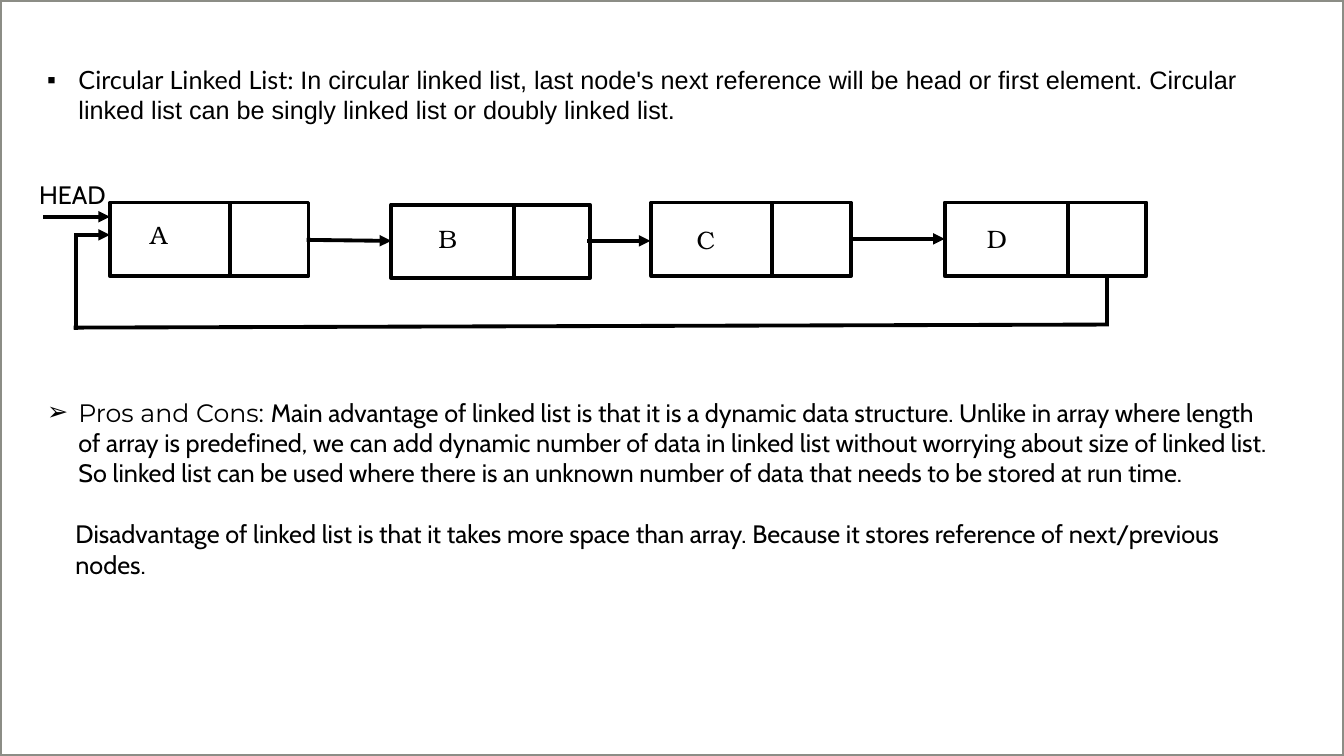
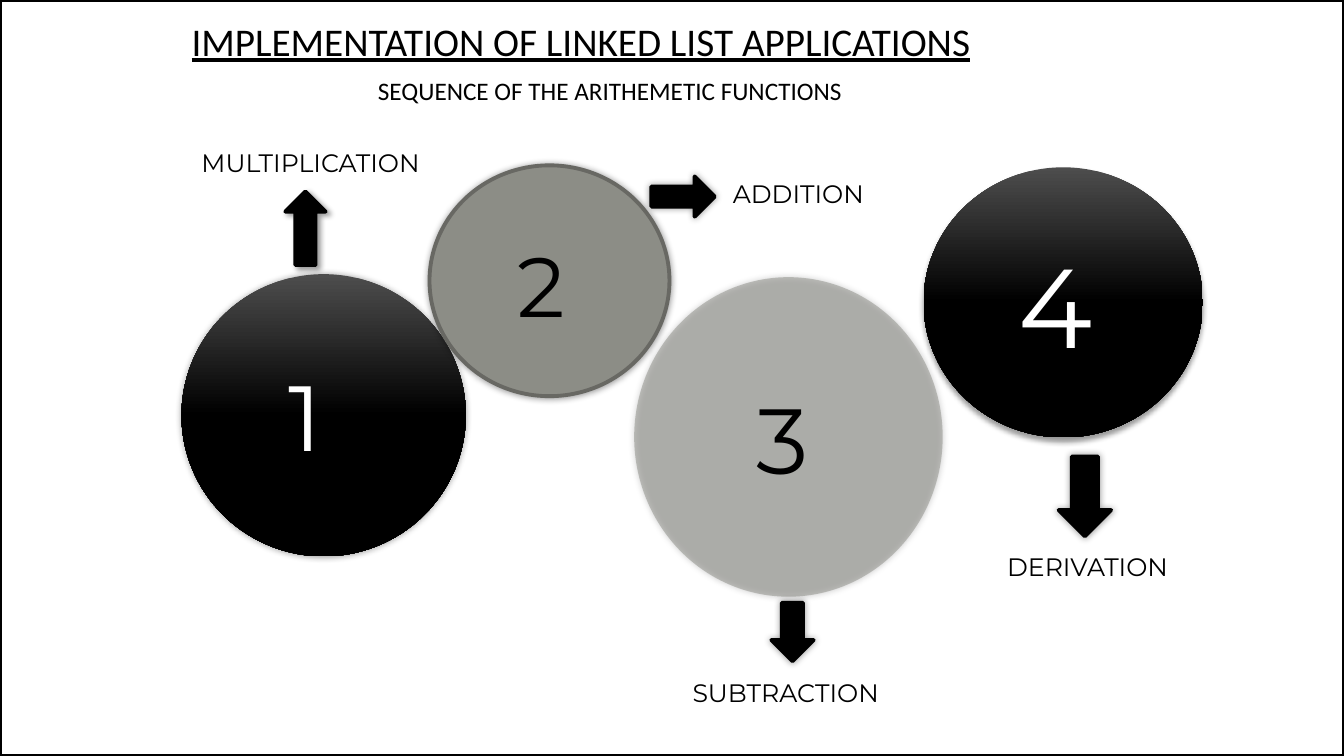
from itertools import pairwise

from lxml.etree import SubElement
from pptx import Presentation
from pptx.dml.color import RGBColor
from pptx.enum.shapes import MSO_CONNECTOR, MSO_SHAPE
from pptx.enum.text import MSO_ANCHOR, MSO_AUTO_SIZE, PP_ALIGN
from pptx.oxml.ns import qn
from pptx.util import Inches, Pt

BLACK, WHITE, GREY, EDGE = "000000", "FFFFFF", "8C8D86", "686863"
DARK = ("4D4D4D", BLACK)
WIDE, HIGH = 13.33, 7.5
STROKE = 2.75


def rgb(code):
    return RGBColor.from_string(code)


# Shared parts
def add_run(para, text, font, size=18, color=BLACK, under=False):
    run = para.add_run()
    run.text = text
    run.font.name = font
    run.font.size = Pt(size)
    run.font.color.rgb = rgb(color)
    if under:
        run.font.underline = True


def add_text(slide, box, *runs):
    frame = slide.shapes.add_textbox(*map(Inches, box)).text_frame
    frame.word_wrap = True
    for run in runs:
        add_run(frame.paragraphs[0], *run)
    return frame


def add_shape(slide, kind, box, fill, line=None):
    shape = slide.shapes.add_shape(kind, *map(Inches, box))
    shape.shadow.inherit = False
    if isinstance(fill, tuple):
        shape.fill.gradient()
        shape.fill.gradient_angle = 270
        for stop, code, at in zip(shape.fill.gradient_stops, fill, (0, 0.5)):
            stop.color.rgb = rgb(code)
            stop.position = at
    else:
        shape.fill.solid()
        shape.fill.fore_color.rgb = rgb(fill)
    if line:
        shape.line.color.rgb = rgb(line)
        shape.line.width = Pt(STROKE)
    else:
        shape.line.fill.background()
    return shape


def add_frame(slide, line):
    shape = add_shape(slide, MSO_SHAPE.RECTANGLE, (0, 0, WIDE, HIGH), WHITE, line)
    tree = shape._element.getparent()
    tree.insert(2, shape._element)  # behind the title


def add_line(slide, start, end, arrow=False):
    line = slide.shapes.add_connector(
        MSO_CONNECTOR.STRAIGHT, *map(Inches, (*start, *end)))
    line.line.color.rgb = rgb(BLACK)
    line.line.width = Pt(STROKE)
    props = line._element.spPr
    edge = props.find(qn("a:ln"))
    edge.set("cap", "sq")
    if arrow:
        SubElement(edge, qn("a:tailEnd"), type="triangle")
    SubElement(props, qn("a:effectLst"))


def add_glow(shape, blur=5, dist=0, angle=0):
    effects = shape._element.spPr.find(qn("a:effectLst"))
    glow = SubElement(effects, qn("a:outerShdw"), blurRad=str(Pt(blur)),
                      dist=str(Pt(dist)), dir=str(angle * 60000), rotWithShape="0")
    color = SubElement(glow, qn("a:srgbClr"), val=BLACK)
    SubElement(color, qn("a:alpha"), val="40000")


def set_alpha(shape, part):
    color = shape._element.spPr.find(qn("a:solidFill")).find(qn("a:srgbClr"))
    SubElement(color, qn("a:alpha"), val=str(part * 1000))


def set_bullet(para, mark):
    props = para._p.get_or_add_pPr()
    props.set("marL", str(Inches(0.31)))
    props.set("indent", str(-Inches(0.31)))
    SubElement(props, qn("a:buFont"), typeface="Arial")
    SubElement(props, qn("a:buChar"), char=mark)


# Circular list: text and diagram
def add_node(slide, left, top, name, split, total, shift):
    cell = MSO_SHAPE.RECTANGLE
    add_shape(slide, cell, (left, top, 1.22, 0.73), WHITE, BLACK)
    add_shape(slide, cell, (left + split, top, total - split, 0.73), WHITE, BLACK)
    dx, dy = shift
    add_text(slide, (left + dx, top + dy, 0.65, 0.4), (name, "TeX Gyre Bonum"))


def add_chain(slide, left, top):
    nodes = (
        (0, 0, "A", 1.19, 1.97, (0.3, 0.12)),
        (2.79, 0.02, "B", 1.22, 1.97, (0.37, 0.14)),
        (5.37, 0, "C", 1.2, 1.98, (0.35, 0.17)),
        (8.28, 0, "D", 1.22, 2, (0.32, 0.16)),
    )
    for dx, dy, *node in nodes:
        add_node(slide, left + dx, top + dy, *node)

    def spot(x, y):
        return left + x, top + y

    # Links between nodes, then the head pointer
    links = (
        ((1.97, 0.37), (2.79, 0.38)),
        ((4.75, 0.38), (5.36, 0.38)),
        ((7.35, 0.36), (8.28, 0.36)),
        ((-0.64, 0.14), (0, 0.14)),
    )
    for start, end in links:
        add_line(slide, spot(*start), spot(*end), True)
    add_text(slide, (left - 0.8, top - 0.28, 0.88, 0.4), ("HEAD", "Cabin"))

    # Way back from the last node to the first
    loop = [(9.89, 0.73), (9.89, 1.21), (-0.34, 1.24), (-0.34, 0.32), (0, 0.32)]
    for start, end in pairwise(loop):
        add_line(slide, spot(*start), spot(*end), end == loop[-1])


def build_list(deck):
    slide = deck.slides.add_slide(deck.slide_layouts[6])
    add_frame(slide, GREY)
    intro = add_text(
        slide, (0.37, 0.59, 12.36, 0.7),
        ("Circular Linked List: ", "Lato"),
        ("In circular linked list, last node's next reference will be head or "
         "first element. Circular linked list can be singly linked list or "
         "doubly linked list.", "Arial"))
    set_bullet(intro.paragraphs[0], "▪")
    add_chain(slide, 1.09, 2.01)
    pros = add_text(
        slide, (0.37, 3.89, 12.36, 1.95),
        ("Pros and Cons: ", "Montserrat"),
        ("Main advantage of linked list is that it is a dynamic data structure. "
         "Unlike in array where length of array is predefined, we can add dynamic "
         "number of data in linked list without worrying about size of linked "
         "list. So linked list can be used where there is an unknown number of "
         "data that needs to be stored at run time.", "Cabin"))
    set_bullet(pros.paragraphs[0], "➢")
    cons = pros.add_paragraph()
    cons.space_before = Pt(22)
    cons._p.get_or_add_pPr().set("marL", str(Inches(0.28)))
    add_run(cons, "Disadvantage of linked list is that it takes more space than "
            "array. Because it stores reference of next/previous nodes.", "Cabin")


# Applications: numbered circles with arrows and labels
def add_title(slide, box, text):
    title = slide.shapes.title
    title.left, title.top, title.width, title.height = map(Inches, box)
    frame = title.text_frame
    frame.auto_size = MSO_AUTO_SIZE.NONE
    frame.vertical_anchor = MSO_ANCHOR.TOP
    para = frame.paragraphs[0]
    para.alignment = PP_ALIGN.LEFT
    add_run(para, text, "Calibri", 28, under=True)


def add_disc(slide, box, fill, line, alpha, glow):
    disc = add_shape(slide, MSO_SHAPE.OVAL, box, fill, line)
    if alpha < 100:
        set_alpha(disc, alpha)
    add_glow(disc, *glow)


def add_digit(slide, box, num, shift, size, color):
    left, top, wide, _ = box
    dx, dy = shift
    add_text(slide, (left + dx, top + dy, wide - dx, size / 55),
             (num, "Montserrat", size, color))


def add_label(slide, kind, box, glow, text, spot):
    arrow = add_shape(slide, kind, box, BLACK, BLACK)
    add_glow(arrow, *glow)
    add_text(slide, (*spot, 2.61, 0.4), (text, "Montserrat"))


def build_uses(deck):
    slide = deck.slides.add_slide(deck.slide_layouts[5])
    add_frame(slide, BLACK)
    add_title(slide, (1.8, 0.12, 9.94, 0.57),
              "IMPLEMENTATION OF LINKED LIST APPLICATIONS")
    add_text(slide, (3.65, 0.7, 5.51, 0.4),
             ("SEQUENCE OF THE ARITHEMETIC FUNCTIONS", "Calibri"))

    # Box, fill, line, alpha, glow; then digit, its shift, size and colour
    discs = (
        (((1.8, 2.72, 2.82, 2.8), DARK, None, 100, ()),
         ("1", (0.96, 0.79), 66, WHITE)),
        (((4.26, 1.64, 2.38, 2.29), GREY, EDGE, 100, ()),
         ("2", (0.77, 0.63), 60, BLACK)),
        (((6.29, 2.75, 3.06, 3.17), GREY, None, 50, ()),
         ("3", (1.12, 0.99), 66, BLACK)),
        (((9.16, 1.66, 2.77, 2.68), DARK, None, 100, (4, 3, 90)),
         ("4", (0.84, 0.64), 80, WHITE)),
    )
    for disc, _ in discs:
        add_disc(slide, *disc)
    for disc, digit in discs:
        add_digit(slide, disc[0], *digit)

    up, right, down = MSO_SHAPE.UP_ARROW, MSO_SHAPE.RIGHT_ARROW, MSO_SHAPE.DOWN_ARROW
    labels = (
        (up, (2.83, 1.9, 0.4, 0.73), (4, 3, 45), "MULTIPLICATION", (1.9, 1.41)),
        (right, (6.46, 1.75, 0.63, 0.4), (), "ADDITION", (7.17, 1.72)),
        (down, (7.65, 5.98, 0.42, 0.58), (), "SUBTRACTION", (6.77, 6.67)),
        (down, (10.5, 4.53, 0.52, 0.79), (), "DERIVATION", (9.89, 5.42)),
    )
    for label in labels:
        add_label(slide, *label)


def main():
    deck = Presentation()
    deck.slide_width, deck.slide_height = Inches(WIDE), Inches(HIGH)
    build_list(deck)
    build_uses(deck)
    deck.save("out.pptx")


if __name__ == "__main__":
    main()
